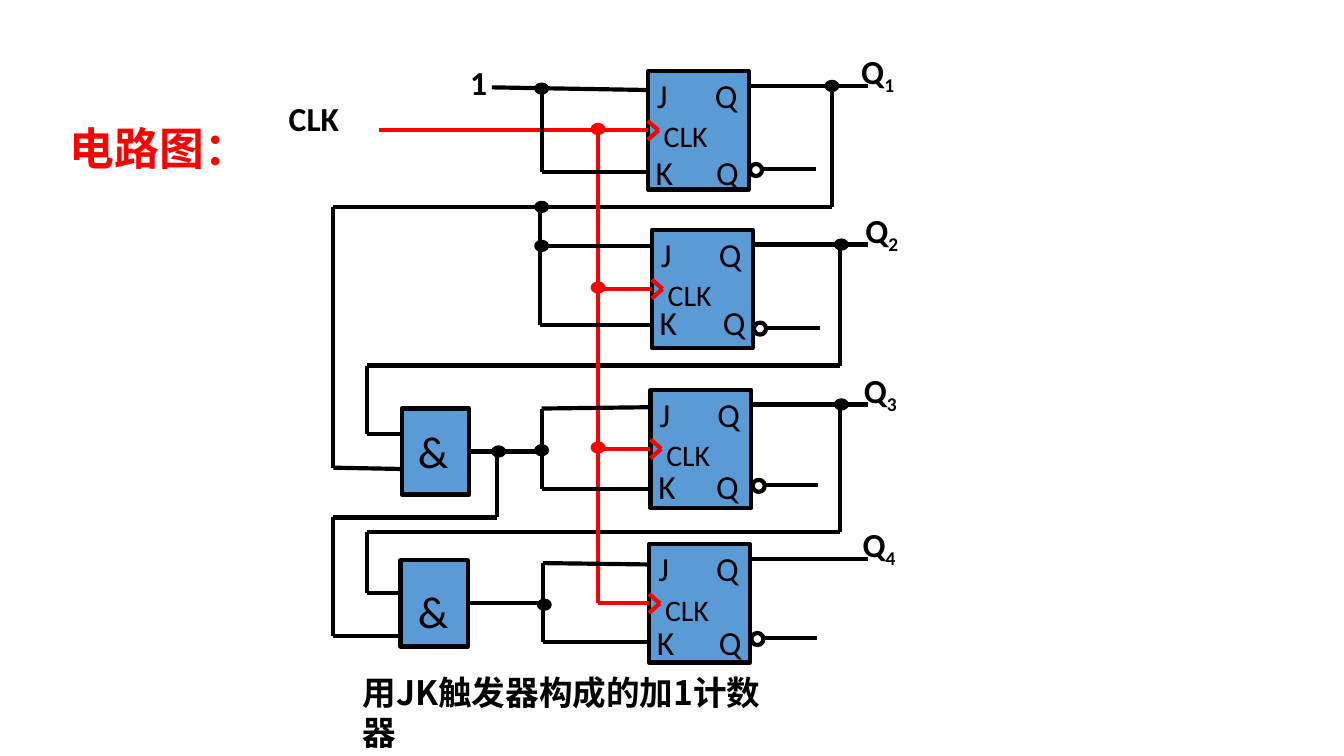
from itertools import pairwise

from lxml import etree
from pptx import Presentation
from pptx.dml.color import RGBColor
from pptx.enum.shapes import MSO_CONNECTOR, MSO_SHAPE
from pptx.enum.text import MSO_ANCHOR
from pptx.oxml.ns import qn
from pptx.util import Inches, Pt

BOX = MSO_SHAPE.FLOWCHART_PROCESS
OVAL = MSO_SHAPE.OVAL
LINE = MSO_CONNECTOR.STRAIGHT
TOP = MSO_ANCHOR.TOP
LEFT, RIGHT = 1, 3

BLACK, RED, BLUE = "000000", "FF0000", "5B9BD5"
LATIN, HAN = "Calibri", "Noto Sans CJK JP"
WIDTH = 2.25
BUS = 4.45

# left, top, top of lower labels, left of lower Q, height of inverted output
FLOPS = [
    (4.82, 0.53, 1.08, 5.23, 1.26),
    (4.85, 1.71, 2.20, 5.28, 2.44),
    (4.84, 2.90, 3.42, 5.23, 3.61),
    (4.83, 4.05, 4.58, 5.25, 4.75),
]
GATES = [(2.99, 3.04, 3.10, 4.06), (2.98, 4.17, 4.29, 4.05)]
WIRES = [
    [(6.19, 0.64), (6.19, 1.54), (2.48, 1.54), (2.48, 3.48), (3, 3.49)],
    [(6.25, 1.82), (6.25, 2.72), (2.73, 2.72), (2.73, 3.23), (3, 3.23)],
    [(6.25, 3.01), (6.25, 3.96), (2.73, 3.96), (2.73, 4.41), (3, 4.41)],
    [(3.7, 3.35), (3.7, 3.85), (2.48, 3.85), (2.48, 4.73), (3, 4.73)],
]
INPUTS = [
    [(3.66, 0.65), (4.82, 0.67)],
    [(4.03, 0.66), (4.03, 1.28), (4.82, 1.28)],
    [(4.03, 1.83), (4.85, 1.83)],
    [(4.02, 1.54), (4.02, 2.42), (4.85, 2.42)],
    [(4.84, 3.03), (4.03, 3.04), (4.03, 3.64), (4.84, 3.64)],
    [(4.83, 4.2), (4.04, 4.19), (4.04, 4.78), (4.83, 4.78)],
]
DOTS = [
    (4.03, 0.66), (6.19, 0.64), (4.03, 1.54), (4.03, 1.83), (6.26, 1.82),
    (6.26, 3.01), (3.71, 3.36), (4.03, 3.35), (4.05, 4.5),
]
TAPS = [(4.45, 0.96), (4.45, 2.14), (4.45, 3.33)]


def paint(code):
    """Turn a hex string into a colour."""
    return RGBColor.from_string(code)


def assign(target, values):
    """Set every attribute named in a dict."""
    for name, value in values.items():
        setattr(target, name, value)


def label(slide, text, x, y, w, h=0.4, sub="", wrap=False, color=BLACK, **style):
    """Add a text box, with an optional subscript."""
    box = slide.shapes.add_textbox(*map(Inches, (x, y, w, h)))
    box.text_frame.word_wrap = wrap
    para = box.text_frame.paragraphs[0]
    look = {"size": Pt(18), "name": LATIN, "bold": False} | style
    for part in filter(None, (text, sub)):
        run = para.add_run()
        run.text = part
        assign(run.font, look)
        run.font.color.rgb = paint(color)
        props = run._r.get_or_add_rPr()
        etree.SubElement(props, qn("a:ea")).set("typeface", look["name"])
        if part is sub:
            props.set("baseline", "-25000")
    return box


def shape(slide, kind, x, y, w, h, fill=None, line=BLACK):
    """Add an outlined shape, hollow when no fill is given."""
    item = slide.shapes.add_shape(kind, *map(Inches, (x, y, w, h)))
    item.shadow.inherit = False
    if fill:
        item.fill.solid()
        item.fill.fore_color.rgb = paint(fill)
    else:
        item.fill.background()
    item.line.color.rgb = paint(line)
    item.line.width = Pt(WIDTH)
    return item


def wire(slide, points, color=BLACK):
    """Join points by straight lines and return the last line."""
    for start, end in pairwise(points):
        item = slide.shapes.add_connector(LINE, *map(Inches, (*start, *end)))
        item.line.color.rgb = paint(color)
        item.line.width = Pt(WIDTH)
        etree.SubElement(item._element.spPr, qn("a:effectLst"))
    return item


def dot(slide, x, y, color=BLACK):
    """Mark a junction centred on a point."""
    shape(slide, OVAL, x - 0.04, y - 0.03, 0.08, 0.06, color, color)


def flop(slide, index, x, y, low, right, out):
    """Draw a flip-flop with its labels and outputs."""
    body = shape(slide, BOX, x, y, 0.75, 0.88, BLUE)
    label(slide, "J", x - 0.03, y - 0.02, 0.44, wrap=True)
    label(slide, "CLK", x + 0.02, y + 0.3, 0.87, 0.37, wrap=True, size=Pt(16))
    label(slide, "Q", x + 0.4, y - 0.02, 0.37)
    label(slide, "K", x - 0.04, low, 0.33)
    label(slide, "Q", right, low, 0.37)
    wire(slide, [(x + 0.76, y + 0.11), (6.46, y + 0.11)])
    wire(slide, [(x + 0.86, out), (x + 1.25, out)])
    shape(slide, OVAL, x + 0.76, out - 0.04, 0.09, 0.09)
    label(slide, "Q", x + 1.49, y - 0.2, 0.46, sub=str(index), bold=True)
    return body


def clock(slide, body, x, y, start):
    """Draw a clock tap and its edge mark."""
    mid = y + 0.44
    tap = wire(slide, [(start, mid), (x, mid)], RED)
    tap.end_connect(body, LEFT)
    wire(slide, [(x, mid - 0.07), (x + 0.08, mid), (x, mid + 0.07)], RED)


def gate(slide, x, y, top, end):
    """Draw an AND gate with its output."""
    body = shape(slide, BOX, x, y, 0.5, 0.64, BLUE)
    label(slide, "&", 3.01, top, 0.39, 0.51, wrap=True, size=Pt(24))
    lead = wire(slide, [(x + 0.5, y + 0.32), (end, y + 0.32)])
    lead.begin_connect(body, RIGHT)


def main():
    """Build the counter circuit slide."""
    deck = Presentation()
    wide = Inches(10)
    assign(deck, {"slide_width": wide, "slide_height": wide * 9 // 16})
    slide = deck.slides.add_slide(deck.slide_layouts[6])

    title = label(slide, "电路图：", 0.42, 0.94, 1.92, 0.56, wrap=True,
                  color=RED, size=Pt(24), name=HAN, bold=True)
    assign(title.text_frame, {"vertical_anchor": TOP, "margin_top": 0})
    title.text_frame.paragraphs[0].line_spacing = 0.9
    label(slide, "1", 3.4, 0.41, 0.33, bold=True)
    label(slide, "CLK", 2.05, 0.68, 0.58, bold=True)
    label(slide, "用JK触发器构成的加1计数器", 2.6, 4.95, 3.34, wrap=True,
          name=HAN, bold=True)

    bodies = [flop(slide, n, *row) for n, row in enumerate(FLOPS, 1)]
    for row in GATES:
        gate(slide, *row)
    for points in WIRES:
        wire(slide, points)
    wire(slide, [(BUS, 0.97), (BUS, 4.49)], RED)
    for n, (body, row) in enumerate(zip(bodies, FLOPS)):
        clock(slide, body, *row[:2], BUS if n else 2.82)
    for points in INPUTS:
        wire(slide, points)
    for spot in DOTS:
        dot(slide, *spot)
    for spot in TAPS:
        dot(slide, *spot, RED)
    deck.save("out.pptx")


if __name__ == "__main__":
    main()
